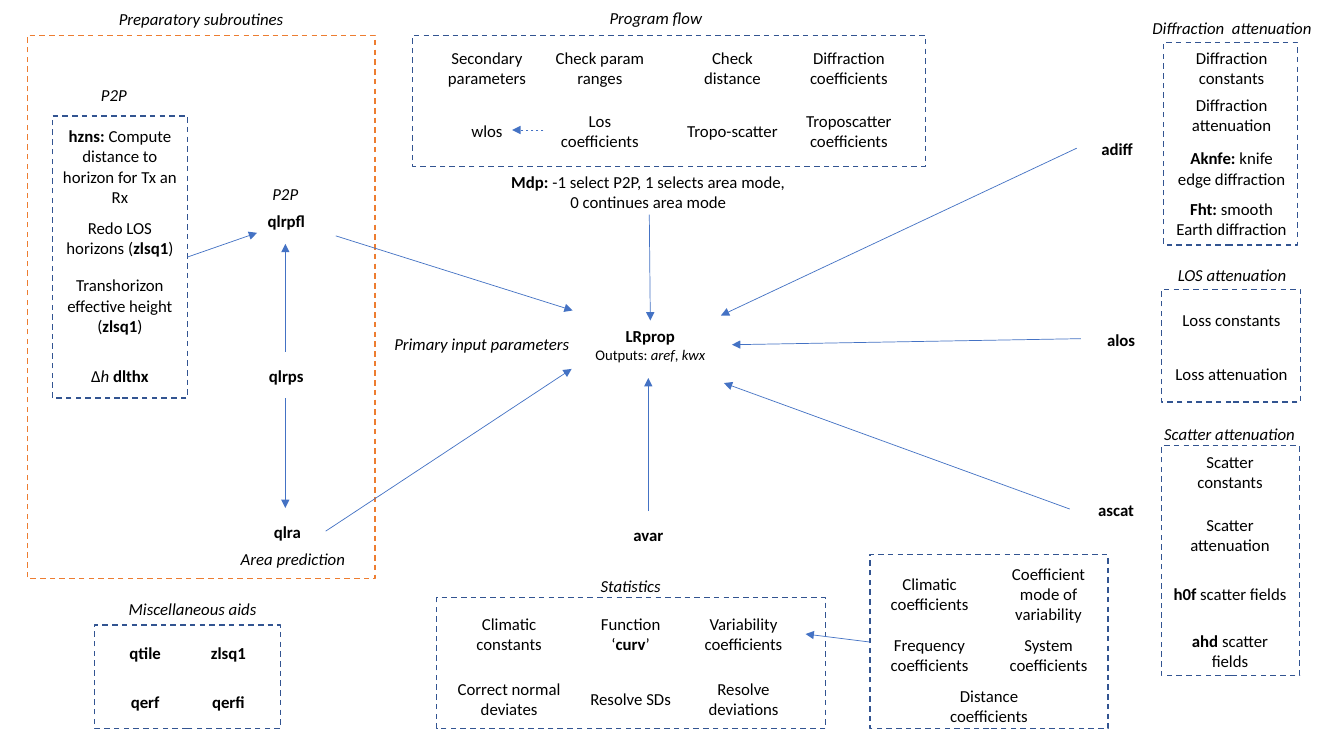
"""Draw the map of the LRprop propagation program and its subroutines."""
from dataclasses import dataclass

import pptx
import pptx.dml.color
import pptx.enum.dml
import pptx.enum.shapes
import pptx.enum.text
import pptx.oxml
import pptx.oxml.ns
import pptx.util
from pptx.util import Inches

COLORS = {"text": "000000", "panel": "325491", "preparatory": "ED7D31", "arrow": "4472C4"}
FONT = "Calibri"
LABEL_HEIGHT = 0.47
CAPTION_HEIGHT = 0.3


@dataclass(frozen=True)
class Panel:
    """A dashed frame holding rows of labels, given by column extents and row centres."""

    frame: tuple[float, float, float, float]
    columns: tuple[tuple[float, float], ...] = ()
    rows: tuple[float, ...] = ()
    labels: tuple[str, ...] = ()
    color: str = "panel"


@dataclass(frozen=True)
class Label:
    """A text centred on a point; ** switches bold and _ switches italic."""

    text: str
    center: float
    middle: float
    width: float = 1.0


@dataclass(frozen=True)
class Caption:
    """An italic heading on one line."""

    text: str
    left: float
    top: float
    width: float


@dataclass(frozen=True)
class Arrow:
    """A thin arrow between two points."""

    start: tuple[float, float]
    end: tuple[float, float]
    dashed: bool = False


PANELS = [
    Panel((0.27, 0.35, 3.45, 5.39), color="preparatory"),
    Panel((4.09, 0.35, 5.09, 1.3),
          ((4.33, 1.0), (5.35, 1.2), (6.71, 1.11), (7.8, 1.24)), (0.67, 1.3),
          ("Secondary parameters", "Check param ranges", "Check distance",
           "Diffraction coefficients",
           "wlos", "Los coefficients", "Tropo-scatter", "Troposcatter coefficients")),
    Panel((11.54, 0.42, 1.33, 2.01), ((11.54, 1.35),), (0.67, 1.14, 1.67, 2.17),
          ("Diffraction constants", "Diffraction attenuation",
           "**Aknfe: **knife edge diffraction", "**Fht: **smooth Earth diffraction")),
    Panel((11.52, 2.87, 1.38, 1.12), ((11.53, 1.37),), (3.17, 3.71),
          ("Loss constants", "Loss attenuation")),
    Panel((11.52, 4.42, 1.37, 2.28), ((11.53, 1.34),), (4.68, 5.31, 5.89, 6.46),
          ("Scatter constants", "Scatter attenuation",
           "**h0f** scatter fields", "**ahd** scatter fields")),
    Panel((4.33, 5.93, 3.86, 1.3), ((4.4, 1.3), (5.7, 1.11), (6.76, 1.23)), (6.29, 6.93),
          ("Climatic constants", "Function ‘**curv**’", "Variability coefficients",
           "Correct normal deviates", "Resolve SDs", "Resolve deviations")),
    Panel((8.63, 5.5, 2.36, 1.73), ((8.63, 1.18), (9.81, 1.18)), (5.89, 6.5),
          ("Climatic coefficients", "Coefficient mode of variability",
           "Frequency coefficients", "System coefficients")),
    Panel((0.52, 1.15, 1.34, 2.8), ((0.51, 1.36),), (1.65, 2.36, 3.03, 3.73),
          ("**hzns: **Compute distance to horizon for Tx an Rx",
           "Redo LOS horizons (**zlsq1**)",
           "Transhorizon effective height (**zlsq1**)", "Δ_h _**dlthx**")),
    Panel((0.94, 6.2, 1.84, 1.03), ((0.94, 1.0), (1.84, 0.85)), (6.48, 6.96),
          ("**qtile**", "**zlsq1**", "**qerf**", "**qerfi**")),
]

LABELS = [
    Label("**Mdp: **-1 select P2P, 1 selects area mode, 0 continues area mode", 6.43, 1.9, 2.95),
    Label("**adiff**", 11.08, 1.48),
    Label("**alos**", 11.12, 3.37),
    Label("**ascat**", 11.07, 5.06),
    Label("**avar**", 6.43, 5.31),
    Label("**qlrpfl**", 2.84, 2.19),
    Label("**qlrps**", 2.84, 3.73),
    Label("**qlra**", 2.85, 5.28),
    Label("Distance coefficients", 9.81, 7.0, 1.26),
]
PROGRAM = Label("**LRprop**\nOutputs: _aref_, _kwx_", 6.45, 3.42, 1.61)
OUTPUTS_SIZE = 10.5

CAPTIONS = [
    Caption("Preparatory subroutines", 0.27, 0.04, 3.45),
    Caption("Program flow", 5.94, 0.03, 1.13),
    Caption("Diffraction  attenuation", 11.3, 0.13, 1.84),
    Caption("LOS attenuation", 11.52, 2.58, 1.4),
    Caption("Scatter attenuation", 11.4, 4.15, 1.59),
    Caption("Statistics", 5.46, 5.66, 1.59),
    Caption("Area prediction", 2.28, 5.39, 1.25),
    Caption("P2P", 2.6, 1.77, 0.46),
    Caption("P2P", 0.9, 0.79, 0.46),
    Caption("Primary input parameters", 3.8, 3.26, 1.96),
    Caption("Miscellaneous aids", 1.17, 5.89, 1.48),
]

ARROWS = [
    Arrow((6.44, 2.13), (6.45, 3.18)),
    Arrow((10.68, 1.47), (7.15, 3.13)),
    Arrow((10.72, 3.36), (7.26, 3.42)),
    Arrow((10.61, 5.05), (7.18, 3.8)),
    Arrow((6.43, 5.07), (6.43, 3.75)),
    Arrow((2.83, 3.49), (2.83, 2.42)),
    Arrow((2.83, 3.95), (2.83, 5.04)),
    Arrow((3.23, 5.27), (5.67, 3.66)),
    Arrow((3.33, 2.34), (5.68, 3.08)),
    Arrow((1.86, 2.55), (2.55, 2.31)),
    Arrow((8.63, 6.37), (7.99, 6.29)),
    Arrow((5.39, 1.29), (5.08, 1.29), dashed=True),
]


def rgb(name: str) -> pptx.dml.color.RGBColor:
    """Return the named colour."""
    return pptx.dml.color.RGBColor.from_string(COLORS[name])


def format_paragraph(paragraph, size: float = 12) -> None:
    """Centre a paragraph and give it the slide's font."""
    paragraph.alignment = pptx.enum.text.PP_ALIGN.CENTER
    paragraph.font.name = FONT
    paragraph.font.size = pptx.util.Pt(size)
    paragraph.font.color.rgb = rgb("text")


def add_marked_runs(paragraph, text: str) -> None:
    """Split marked text into plain, bold and italic runs."""
    for bold_index, bold_part in enumerate(text.split("**")):
        for italic_index, part in enumerate(bold_part.split("_")):
            if part:
                run = paragraph.add_run()
                run.text = part
                run.font.bold = bold_index % 2 == 1
                run.font.italic = italic_index % 2 == 1


def draw_label(slide, label: Label, later_size: float = 12) -> None:
    """Draw a label, with later_size for the lines after the first."""
    box = slide.shapes.add_textbox(
        Inches(label.center - label.width / 2), Inches(label.middle - LABEL_HEIGHT / 2),
        Inches(label.width), Inches(LABEL_HEIGHT))
    frame = box.text_frame
    frame.word_wrap = True
    frame.vertical_anchor = pptx.enum.text.MSO_ANCHOR.MIDDLE
    for index, line in enumerate(label.text.split("\n")):
        paragraph = frame.add_paragraph() if index else frame.paragraphs[0]
        format_paragraph(paragraph, later_size if index else 12)
        add_marked_runs(paragraph, line)


def draw_caption(slide, caption: Caption) -> None:
    """Draw an italic heading."""
    box = slide.shapes.add_textbox(Inches(caption.left), Inches(caption.top),
                                   Inches(caption.width), Inches(CAPTION_HEIGHT))
    box.text_frame.word_wrap = False
    paragraph = box.text_frame.paragraphs[0]
    paragraph.text = caption.text
    format_paragraph(paragraph)
    paragraph.font.italic = True


def draw_panel(slide, panel: Panel) -> None:
    """Draw a dashed frame and its grid of labels."""
    outline = slide.shapes.add_shape(pptx.enum.shapes.MSO_SHAPE.RECTANGLE,
                                     *(Inches(length) for length in panel.frame))
    outline.shadow.inherit = False
    outline.fill.background()
    outline.line.color.rgb = rgb(panel.color)
    outline.line.width = pptx.util.Pt(1)
    outline.line.dash_style = pptx.enum.dml.MSO_LINE.DASH
    for index, text in enumerate(panel.labels):
        row, column = divmod(index, len(panel.columns))
        left, width = panel.columns[column]
        draw_label(slide, Label(text, left + width / 2, panel.rows[row], width))


def draw_arrow(slide, arrow: Arrow) -> None:
    """Draw an arrow with a triangular head at its end."""
    connector = slide.shapes.add_connector(
        pptx.enum.shapes.MSO_CONNECTOR.STRAIGHT,
        *(Inches(length) for length in arrow.start + arrow.end))
    connector.line.color.rgb = rgb("arrow")
    connector.line.width = pptx.util.Pt(0.5)
    if arrow.dashed:
        connector.line.dash_style = pptx.enum.dml.MSO_LINE.DASH
    properties = connector._element.spPr
    head = pptx.oxml.parse_xml(f'<a:tailEnd {pptx.oxml.ns.nsdecls("a")} type="triangle"/>')
    connector.line._get_or_add_ln().append(head)
    properties.append(pptx.oxml.parse_xml(f'<a:effectLst {pptx.oxml.ns.nsdecls("a")}/>'))


def main() -> None:
    """Build and save the slide."""
    presentation = pptx.Presentation()
    presentation.slide_width, presentation.slide_height = Inches(13.33), Inches(7.5)
    slide = presentation.slides.add_slide(presentation.slide_layouts[6])
    for panel in PANELS:
        draw_panel(slide, panel)
    for label in LABELS:
        draw_label(slide, label)
    draw_label(slide, PROGRAM, OUTPUTS_SIZE)
    for arrow in ARROWS:
        draw_arrow(slide, arrow)
    for caption in CAPTIONS:
        draw_caption(slide, caption)
    presentation.save("out.pptx")


if __name__ == "__main__":
    main()
